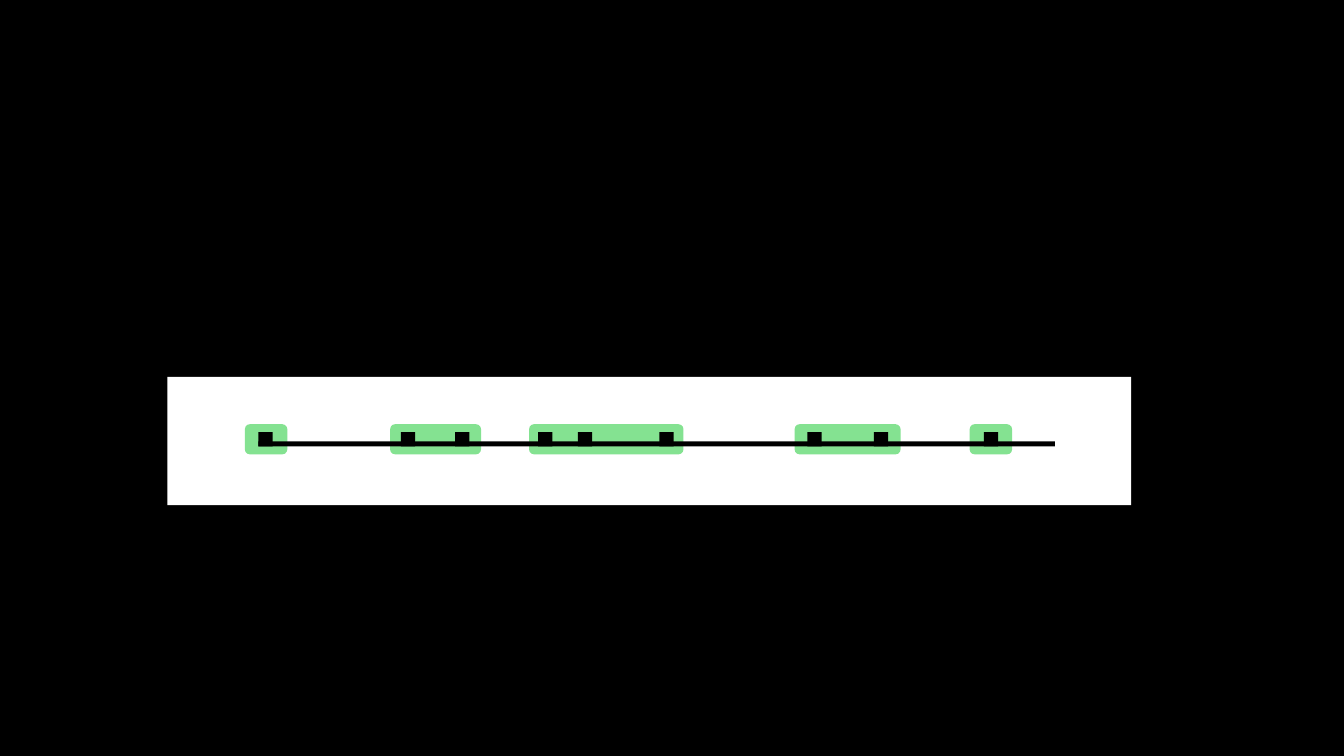
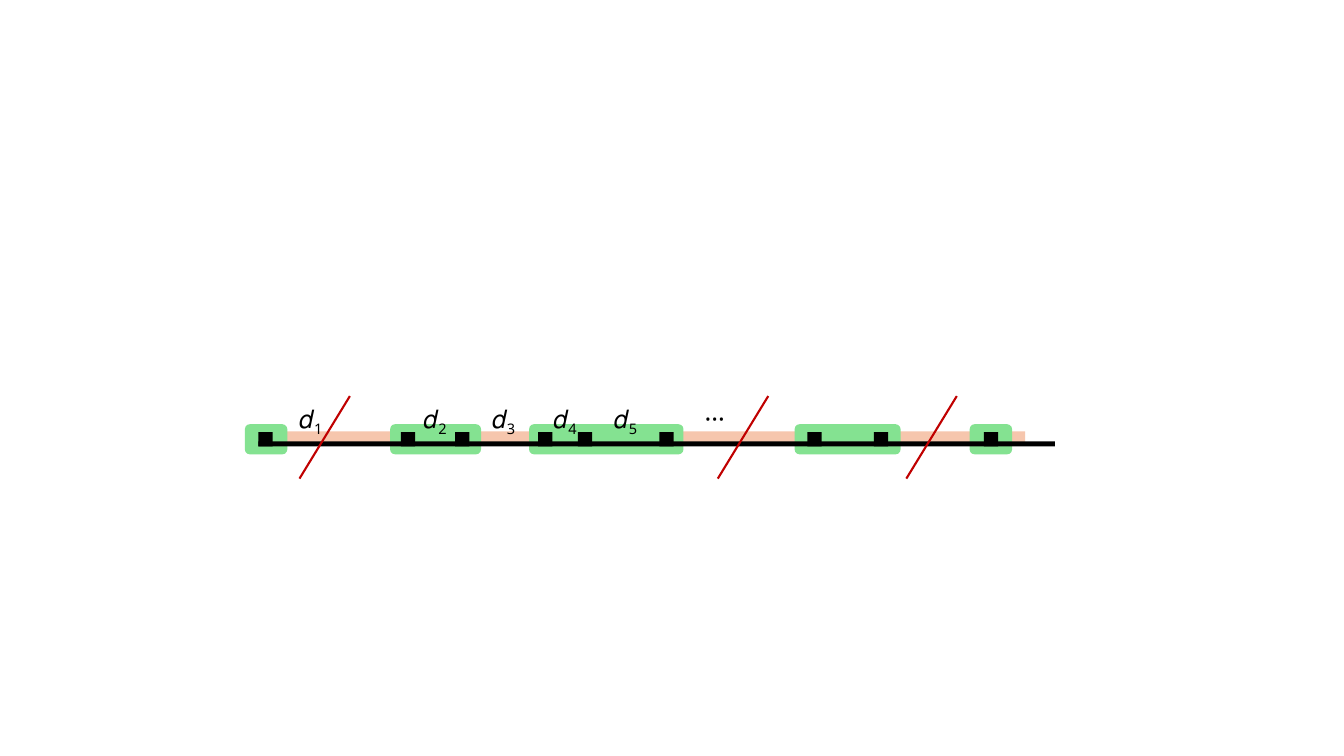
from dataclasses import dataclass
from itertools import pairwise

from lxml import etree
from pptx import Presentation
from pptx.dml.color import RGBColor
from pptx.enum.shapes import MSO_CONNECTOR as Connector, MSO_SHAPE as Shape
from pptx.enum.text import MSO_ANCHOR as Anchor, PP_ALIGN as Align
from pptx.oxml.ns import qn
from pptx.util import Cm, Pt


@dataclass(frozen=True)
class Theme:
    black: str = "000000"
    white: str = "FFFFFF"
    region: str = "84E291"
    strip: str = "F6C6AD"
    strike: str = "C00000"
    font: str = "Noto Sans"
    label_size: float = 18
    strike_width: float = 1.5


THEME = Theme()

# Lengths in cm; x positions are measured from the left of the diagram
SLIDE_SIZE = 33.86, 19.05
DIAGRAM = 6.17, 10.69
REGION_HEIGHT = 0.76
REGIONS = [(0, 1.07), (3.66, 2.29), (7.16, 3.89), (13.85, 2.67), (18.26, 1.07)]
MARKER = 0.36
MARKERS = [0.34, 3.93, 5.3, 7.39, 8.39, 10.44, 14.17, 15.85, 18.62]
AXIS_LENGTH = 20.07
STRIKES = [2.01, 12.55, 17.3]
LABEL_SIZE = 1.12, 1.02
LABEL_SHIFT = 0.65
LABELS = [("𝑑", "1"), ("𝑑", "2"), ("𝑑", "3"), ("𝑑", "4"), ("𝑑", "5"), ("···", "")]


def add_block(shapes, box, color, kind=Shape.RECTANGLE):
    block = shapes.add_shape(kind, *map(Cm, box))
    block.shadow.inherit = False
    block.fill.solid()
    block.fill.fore_color.rgb = RGBColor.from_string(color)
    block.line.fill.background()


def add_text(shapes, box, text, subscript="", size=THEME.label_size,
             color=THEME.black, align=Align.CENTER, wrap=False):
    frame = shapes.add_textbox(*map(Cm, box)).text_frame
    frame.word_wrap = wrap
    frame.vertical_anchor = Anchor.TOP
    paragraph = frame.paragraphs[0]
    paragraph.alignment = align
    for part in filter(None, (text, subscript)):
        run = paragraph.add_run()
        run.text = part
        run.font.name = THEME.font
        run.font.size = Pt(size)
        run.font.color.rgb = RGBColor.from_string(color)
    if subscript:
        run.font._element.set("baseline", "-25000")


def add_strike(shapes, center, top, width=1.27, height=2.08):
    line = shapes.add_connector(
        Connector.STRAIGHT, Cm(center + width / 2), Cm(top),
        Cm(center - width / 2), Cm(top + height))
    line.line.color.rgb = RGBColor.from_string(THEME.strike)
    line.line.width = Pt(THEME.strike_width)
    etree.SubElement(line._element.spPr, qn("a:effectLst"))


def add_axis(shapes, left, top):
    """Draw the regions, the axis and its markers."""
    for x, width in REGIONS:
        add_block(shapes, (left + x, top, width, REGION_HEIGHT),
                  THEME.region, Shape.ROUNDED_RECTANGLE)
    add_block(shapes, (left + MARKERS[0], top + 0.43, AXIS_LENGTH, 0.13), THEME.black)
    for x in MARKERS:
        add_block(shapes, (left + x, top + 0.2, MARKER, MARKER), THEME.black)


def add_distances(shapes, left, top):
    """Label the gaps between markers, keeping labels left of any strike."""
    width, height = LABEL_SIZE
    for (start, end), (text, subscript) in zip(pairwise(MARKERS), LABELS):
        center = (start + end + MARKER) / 2
        if any(start < x < end for x in STRIKES):
            center -= LABEL_SHIFT
        add_text(shapes, (left + center - width / 2, top, width, height),
                 text, subscript)


def new_slide(deck, background):
    slide = deck.slides.add_slide(deck.slide_layouts[6])
    fill = slide.background.fill
    fill.solid()
    fill.fore_color.rgb = RGBColor.from_string(background)
    return slide.shapes


def build_regions_slide(deck, left, top):
    shapes = new_slide(deck, THEME.black)
    # White panel behind the diagram
    add_block(shapes, (left - 1.95, top - 1.19, 24.28, 3.23), THEME.white)
    add_axis(shapes.add_group_shape().shapes, left, top)


def build_distances_slide(deck, left, top):
    shapes = new_slide(deck, THEME.white)
    # Strip that shows between the regions
    add_block(shapes, (left + 0.71, top + 0.18, 18.95, MARKER), THEME.strip)
    add_axis(shapes, left, top)
    add_distances(shapes, left, top - 0.66)
    # Strokes through the wide gaps
    for x in STRIKES:
        add_strike(shapes, left + x, top - 0.71)


def main():
    deck = Presentation()
    deck.slide_width, deck.slide_height = map(Cm, SLIDE_SIZE)
    build_regions_slide(deck, *DIAGRAM)
    build_distances_slide(deck, *DIAGRAM)
    deck.save("out.pptx")


if __name__ == "__main__":
    main()
